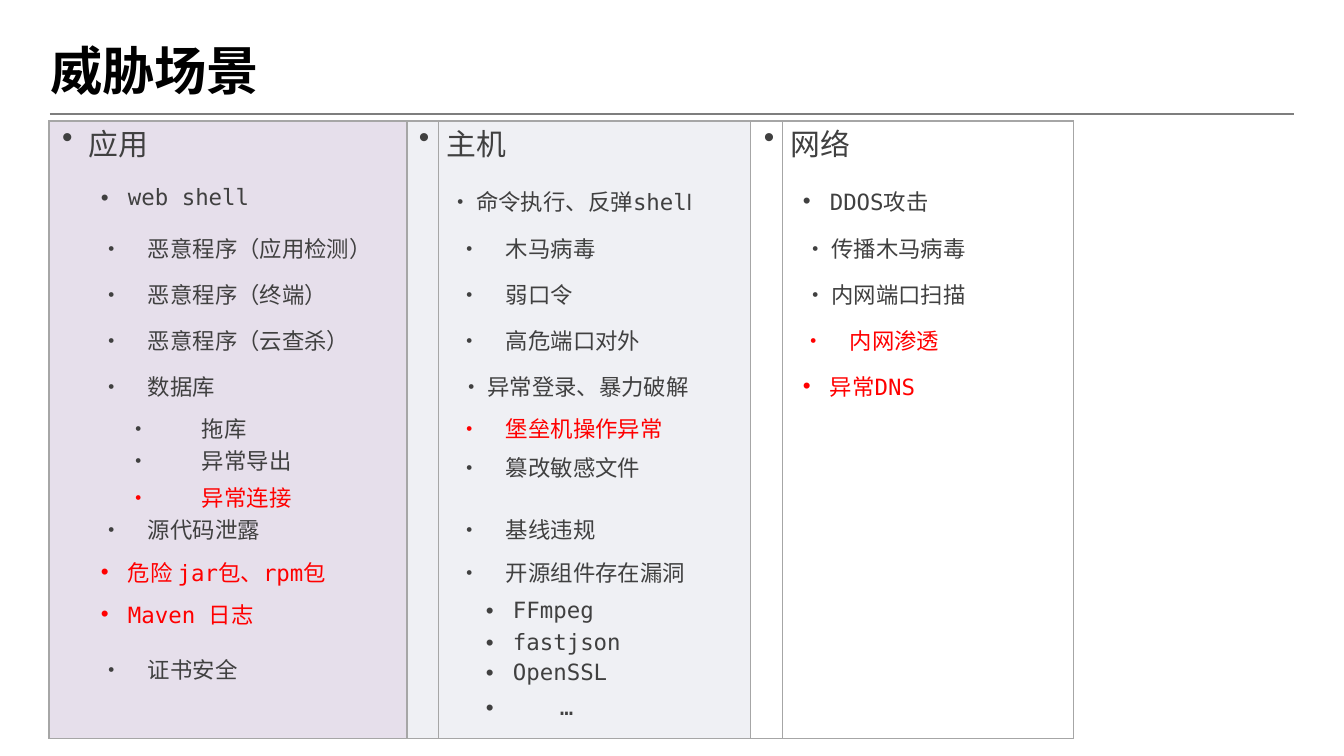
from dataclasses import dataclass
from typing import NamedTuple

from lxml.etree import SubElement
from pptx import Presentation
from pptx.dml.color import RGBColor
from pptx.enum.shapes import MSO_CONNECTOR
from pptx.enum.text import PP_ALIGN
from pptx.oxml.ns import qn
from pptx.util import Pt

PX = 914400 / 134.4


@dataclass(frozen=True)
class Theme:
    ink: str = "404040"
    alert: str = "FF0000"
    title: str = "000000"
    rule: str = "7E7E7E"
    border: str = "A6A6A6"
    mono: str = "DejaVu Sans Mono"
    sans: str = "Arial"
    cjk: str = "Noto Sans CJK TC"
    title_size: int = 28
    head_size: int = 16
    body_size: int = 12
    empty_size: int = 8


THEME = Theme()


class Item(NamedTuple):
    style: str
    text: str
    before: float = 0
    line: float = 0
    right: int = 0
    tail: str = ""  # closing letters set in the sans font


# margin, indent and tab stop in px; without an indent the bullet is typed as text
STYLES = {
    "auto": {"margin": 47, "indent": -27, "tab": 47},
    "auto_sub": {"margin": 74, "indent": -27, "tab": 74},
    "typed": {"margin": 20, "indent": 0, "tab": 47},
    "typed_sub": {"margin": 47, "indent": 0, "tab": 74},
    "right": {"margin": 0, "indent": 0, "tab": 27},
}

TITLE = "威胁场景"
ALERTS = {"异常连接", "危险 jar包、rpm包", "Maven 日志", "堡垒机操作异常", "内网渗透", "异常DNS"}

# each scenario: heading, fill, widths of its two columns, bullet margin, items by row
SCENARIOS = [
    ("应用", "E6DFEB", (32, 326), 13, [
        [Item("auto", "web shell", 4.8)],
        [Item("typed", "恶意程序（应用检测）", 4.2)],
        [Item("typed", "恶意程序（终端）", 4.2)],
        [Item("typed", "恶意程序（云查杀）", 4.2)],
        [Item("typed", "数据库", 4.2)],
        [Item("typed_sub", "拖库", 2.2)],
        [Item("typed_sub", "异常导出", line=13.2), Item("typed_sub", "异常连接", 2.9)],
        [Item("typed", "源代码泄露", 4)],
        [Item("auto", "危险 jar包、rpm包", 5.7)],
        [Item("auto", "Maven 日志", 7.7)],
        [Item("typed", "证书安全", line=13.7)],
    ]),
    ("主机", "EFF0F4", (32, 312), 12, [
        [Item("right", "命令执行、反弹shel", 4.8, right=59, tail="l")],
        [Item("typed", "木马病毒", 4.2)],
        [Item("typed", "弱口令", 4.2)],
        [Item("typed", "高危端口对外", 4.2)],
        [Item("right", "异常登录、暴力破解", 4.2, right=62)],
        [Item("typed", "堡垒机操作异常", 6.1)],
        [Item("typed", "篡改敏感文件", 9.8)],
        [Item("typed", "基线违规", 1.1)],
        [Item("typed", "开源组件存在漏洞", 2.8)],
        [Item("auto_sub", "FFmpeg", 0.1), Item("auto_sub", "fastjson", 2.9)],
        [Item("auto_sub", "OpenSSL", 1.9)],
        [Item("typed_sub", "…", 0.7)],
    ]),
    ("网络", None, (32, 291), 13, [
        [Item("auto", "DDOS攻击", 4.8)],
        [Item("right", "传播木马病毒", 4.2, right=108)],
        [Item("right", "内网端口扫描", 4.2, right=108)],
        [Item("typed", "内网渗透", 4.2)],
        [Item("auto", "异常DNS", 4.2)],
    ]),
]
ROW_HEIGHTS = [64, 47, 46, 46, 46, 42, 39, 62, 43, 42, 62, 35, 44]
TABLE_LEFT, TABLE_TOP = 49, 121


def px(value):
    return round(value * PX)


def add_run(paragraph, text, font, size, color, bold=False):
    run = paragraph.add_run()
    run.text = text
    for name, value in {"name": font, "size": Pt(size), "bold": bold}.items():
        setattr(run.font, name, value)
    run.font.color.rgb = RGBColor.from_string(color)
    latin = run.font._element.find(qn("a:latin"))
    east_asian = SubElement(run.font._element, qn("a:ea"), typeface=THEME.cjk)
    latin.addnext(east_asian)


def set_border(cell, sides):
    """Draw the named sides and clear the others."""
    properties = cell._tc.get_or_add_tcPr()
    for position, side in enumerate("LRTB"):
        line = SubElement(properties, qn(f"a:ln{side}"), w=str(Pt(0.72)))
        properties.insert(position, line)
        if side in sides:
            fill = SubElement(line, qn("a:solidFill"))
            SubElement(fill, qn("a:srgbClr"), val=THEME.border)
        else:
            SubElement(line, qn("a:noFill"))


def clear_margins(box):
    for side in ("left", "right", "top", "bottom"):
        setattr(box, f"margin_{side}", 0)


def write_heading(cell, text, margin):
    paragraph = cell.text_frame.paragraphs[0]
    paragraph.space_before = Pt(8.8)
    paragraph._p.get_or_add_pPr().set("marL", str(px(margin)))
    font = THEME.sans if text == "•" else THEME.mono
    add_run(paragraph, text, font, THEME.head_size, THEME.ink)


def write_item(paragraph, item):
    style = STYLES[item.style]
    color = THEME.alert if item.text in ALERTS else THEME.ink
    paragraph.space_before = Pt(item.before)
    if item.line:
        paragraph.line_spacing = Pt(item.line)
    if item.style == "right":
        paragraph.alignment = PP_ALIGN.RIGHT
    properties = paragraph._p.get_or_add_pPr()
    lengths = {"marL": style["margin"], "marR": item.right, "indent": style["indent"]}
    for name, value in lengths.items():
        if value:  # an explicit zero indent would reset the tab stops
            properties.set(name, str(px(value)))
    if style["indent"]:
        SubElement(properties, qn("a:buFont"), typeface=THEME.sans)
        SubElement(properties, qn("a:buChar"), char="•")
    else:
        add_run(paragraph, "•\t", THEME.sans, THEME.body_size, color)
    tabs = SubElement(properties, qn("a:tabLst"))
    SubElement(tabs, qn("a:tab"), pos=str(px(style["tab"])), algn="l")
    add_run(paragraph, item.text, THEME.mono, THEME.body_size, color)
    if item.tail:
        add_run(paragraph, item.tail, THEME.sans, THEME.body_size, color)


def add_title(slide):
    frame = slide.shapes.add_textbox(px(48), px(39), px(1247), px(62)).text_frame
    frame.word_wrap = True
    clear_margins(frame)
    heading = frame.paragraphs[0]
    heading.line_spacing = Pt(33)
    heading._p.get_or_add_pPr().set("marL", str(px(2)))
    add_run(heading, TITLE, THEME.cjk, THEME.title_size, THEME.title, bold=True)


def add_rule(slide):
    rule = slide.shapes.add_connector(MSO_CONNECTOR.STRAIGHT, px(50), px(114), px(1294), px(114))
    rule.line.color.rgb = RGBColor.from_string(THEME.rule)
    rule.line.width = Pt(1.44)
    SubElement(rule._element.spPr, qn("a:effectLst"))


def add_scenarios(slide):
    widths = [width for scenario in SCENARIOS for width in scenario[2]]
    table = slide.shapes.add_table(
        len(ROW_HEIGHTS), len(widths), px(TABLE_LEFT), px(TABLE_TOP),
        px(sum(widths)), px(sum(ROW_HEIGHTS))).table
    table.first_row = table.horz_banding = False
    for column, width in zip(table.columns, widths):
        column.width = px(width)
    for row, height in zip(table.rows, ROW_HEIGHTS):
        row.height = px(height)

    last_row, last_column = len(ROW_HEIGHTS) - 1, len(widths) - 1
    for r in range(len(ROW_HEIGHTS)):
        for c in range(len(widths)):
            heading, fill, _, margin, rows = SCENARIOS[c // 2]
            cell = table.cell(r, c)
            clear_margins(cell)
            if fill:
                cell.fill.solid()
                cell.fill.fore_color.rgb = RGBColor.from_string(fill)
            else:
                cell.fill.background()
            edges = {"L": c != 1, "R": c in (2, 4, last_column) or c == 1,
                     "T": r == 0, "B": r == last_row}
            set_border(cell, {side for side, drawn in edges.items() if drawn})

            items = rows[r - 1] if c % 2 and 0 < r <= len(rows) else []
            if r == 0:
                write_heading(cell, heading if c % 2 else "•", 8 if c % 2 else margin)
            elif items:
                for number, item in enumerate(items):
                    frame = cell.text_frame
                    write_item(frame.add_paragraph() if number else frame.paragraphs[0], item)
            else:
                SubElement(cell.text_frame.paragraphs[0]._p, qn("a:endParaRPr"),
                           sz=str(THEME.empty_size * 100))


def main():
    deck = Presentation()
    deck.slide_width, deck.slide_height = px(1344), px(756)
    slide = deck.slides.add_slide(deck.slide_layouts[6])
    add_rule(slide)
    add_title(slide)
    add_scenarios(slide)
    deck.save("out.pptx")


if __name__ == "__main__":
    main()
